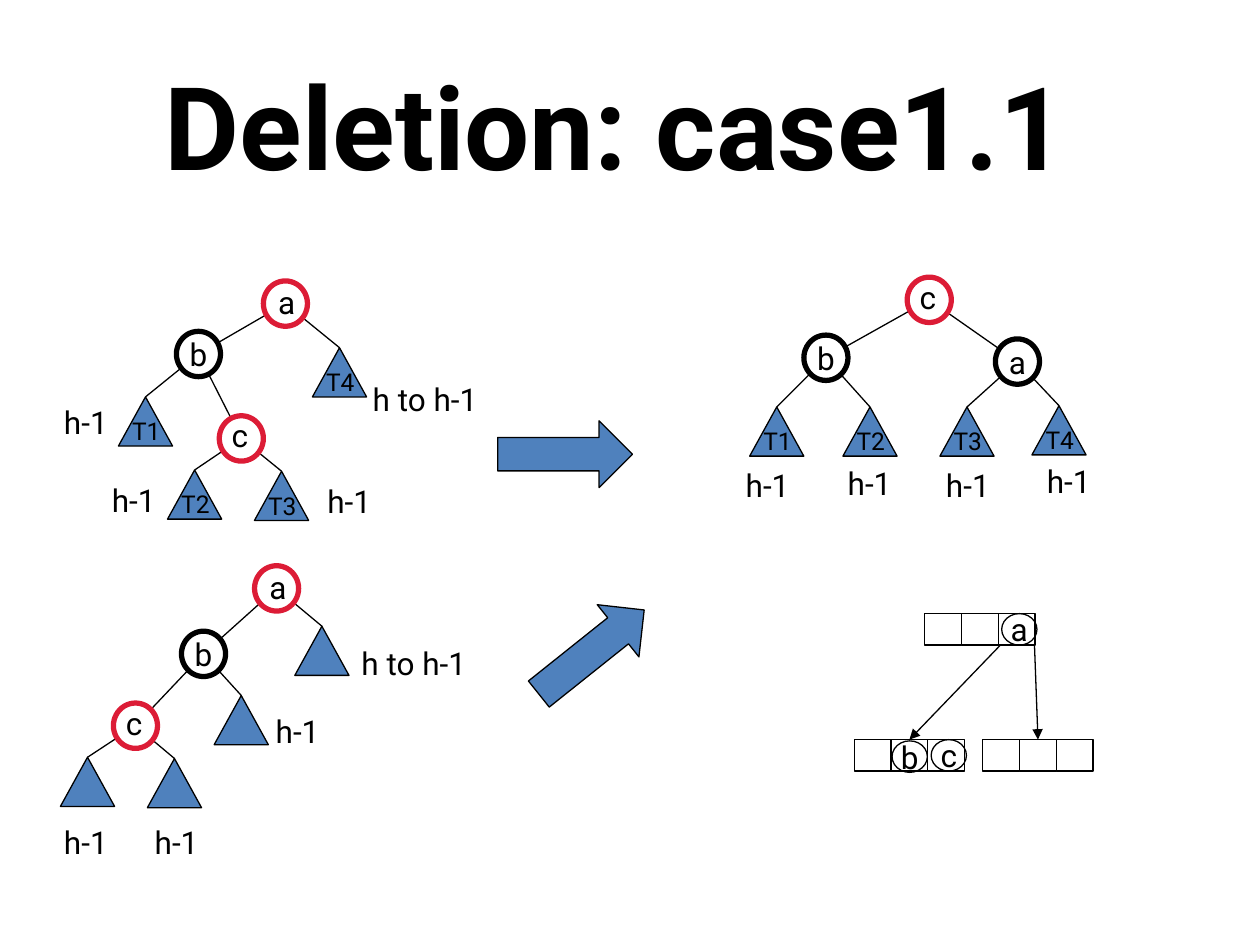
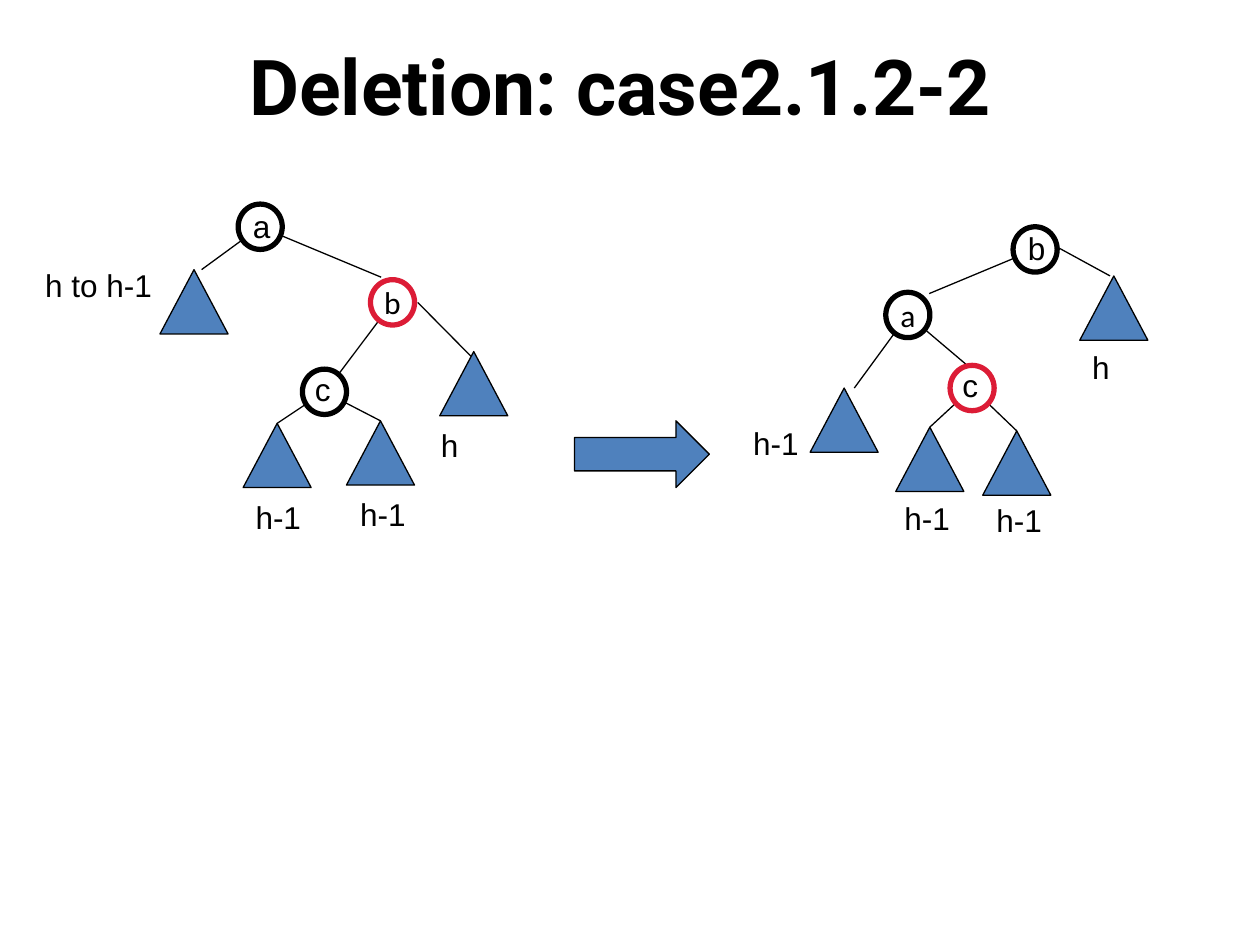
from dataclasses import dataclass

from lxml.etree import SubElement
from pptx import Presentation
from pptx.dml.color import RGBColor
from pptx.enum.shapes import MSO_CONNECTOR as Connector, MSO_SHAPE as Shape
from pptx.enum.text import MSO_ANCHOR as Anchor, MSO_AUTO_SIZE as AutoSize, PP_ALIGN as Align
from pptx.oxml.ns import qn
from pptx.util import Inches, Pt

# Shared style
BLACK = RGBColor(0x00, 0x00, 0x00)
WHITE = RGBColor(0xFF, 0xFF, 0xFF)
RED = RGBColor(0xDC, 0x1C, 0x36)
BLUE = RGBColor(0x4F, 0x81, 0xBD)
THIN, THICK = 0.75, 3

# The slide is a grid of 100 columns by 75 rows; all lengths are in grid units
COLUMNS, ROWS = 100, 75
UNIT = Inches(0.1)
NODE_WIDTH, NODE_HEIGHT = 3.5, 3.6
CELL_WIDTH, CELL_HEIGHT = 2.92, 2.5
LABEL_WIDTHS = {"h to h-1": 10.8, "h-1": 5.6, "h": 3.4, "a": 3.4, "b": 3.4, "c": 3.3}


@dataclass
class Node:
    """A tree node; start and end nudge the edge that comes from its parent."""
    name: str
    left: float
    top: float
    color: RGBColor
    parent: str = ""
    inside: bool = False
    start: tuple = (0, 0)
    end: tuple = (0, 0)


@dataclass
class Subtree:
    """A triangle with its height caption."""
    parent: str
    left: float
    top: float
    height: str
    caption_left: float
    caption_top: float
    name: str = ""
    start: tuple = (0, 0)
    end: tuple = (0, 0)


@dataclass
class TreeStyle:
    triangle: tuple
    label_font: str
    node_font: str


ROBOTO_TREE = TreeStyle((4.3, 3.9), "Roboto", "Roboto")
ARIAL_TREE = TreeStyle((5.4, 5.1), "Arial", "Calibri")


def grid(*lengths):
    return [round(length * UNIT) for length in lengths]


def add_run(paragraph, text, font, size, bold=False):
    run = paragraph.add_run()
    run.text = text
    run.font.name, run.font.size, run.font.bold = font, Pt(size), bold
    run.font.color.rgb = BLACK


def add_label(slide, text, left, top, font, size=18, width=None, height=4):
    box = slide.shapes.add_textbox(*grid(left, top, width or LABEL_WIDTHS[text], height))
    frame = box.text_frame
    frame.word_wrap = False
    frame.auto_size = AutoSize.SHAPE_TO_FIT_TEXT
    add_run(frame.paragraphs[0], text, font, size)


def add_figure(shapes, kind, left, top, width, height, fill=None, line=BLACK, weight=THIN):
    figure = shapes.add_shape(kind, *grid(left, top, width, height))
    figure.shadow.inherit = False
    if fill is None:
        figure.fill.background()
    else:
        figure.fill.solid()
        figure.fill.fore_color.rgb = fill
    figure.line.color.rgb = line
    figure.line.width = Pt(weight)
    return figure


def write_inside(figure, text, font):
    frame = figure.text_frame
    frame.word_wrap = False
    frame.vertical_anchor = Anchor.MIDDLE
    frame.paragraphs[0].alignment = Align.CENTER
    add_run(frame.paragraphs[0], text, font, 18)


def add_edge(slide, start, end, arrow=False):
    edge = slide.shapes.add_connector(Connector.STRAIGHT, *grid(*start, *end))
    edge.line.color.rgb = BLACK
    edge.line.width = Pt(THIN)
    if arrow:
        SubElement(edge.line._get_or_add_ln(), qn("a:tailEnd"), type="triangle")
    SubElement(edge._element.spPr, qn("a:effectLst"))
    return edge


def add_block_arrow(slide, left, top, rotation=0):
    arrow = add_figure(slide.shapes, Shape.RIGHT_ARROW, left, top, 10.7, 5.3, BLUE)
    arrow.rotation = rotation


def add_tree(slide, origin, style, nodes, subtrees):
    """Draw a tree relative to the top left corner of its box."""
    x, y = origin
    triangle_width, triangle_height = style.triangle
    centers = {node.name: (x + node.left + NODE_WIDTH / 2, y + node.top + NODE_HEIGHT / 2)
               for node in nodes}

    # Edges lie behind: parent centre to child centre or triangle tip
    for child in nodes + subtrees:
        if not child.parent:
            continue
        if isinstance(child, Node):
            target = centers[child.name]
        else:
            target = (x + child.left + triangle_width / 2, y + child.top)
        start = [a + b for a, b in zip(centers[child.parent], child.start)]
        end = [a + b for a, b in zip(target, child.end)]
        add_edge(slide, start, end)

    # Nodes
    for node in nodes:
        left, top = x + node.left, y + node.top
        circle = add_figure(slide.shapes, Shape.OVAL, left, top, NODE_WIDTH, NODE_HEIGHT,
                            WHITE, node.color, THICK)
        if node.inside:
            write_inside(circle, node.name, style.node_font)
        else:
            shift_x, shift_y = (0, -0.45) if node.name == "c" else (0.2, -0.3)
            add_label(slide, node.name, left + shift_x, top + shift_y, style.label_font)

    # Subtrees with names and heights
    for subtree in subtrees:
        left, top = x + subtree.left, y + subtree.top
        add_figure(slide.shapes, Shape.FLOWCHART_EXTRACT, left, top,
                   triangle_width, triangle_height, BLUE)
        add_label(slide, subtree.height, x + subtree.caption_left, y + subtree.caption_top,
                  style.label_font)
        if subtree.name:
            add_label(slide, subtree.name, left + 0.1, top + 1.05, style.label_font,
                      size=14, width=4.6, height=3.4)


def add_cell_row(slide, left, top):
    group = slide.shapes.add_group_shape()
    return [add_figure(group.shapes, Shape.RECTANGLE, left + column * CELL_WIDTH, top,
                       CELL_WIDTH, CELL_HEIGHT) for column in range(3)]


def add_key_blocks(slide, origin):
    """Draw the three-cell blocks: one parent and two children."""
    x, y = origin
    left_child = add_cell_row(slide, x, y + 10)
    right_child = add_cell_row(slide, x + 10.2, y + 10)
    add_cell_row(slide, x + 5.6, y)
    for key, left, top in (("a", 11.7, 0), ("b", 3, 10.1), ("c", 6.1, 10)):
        circle = add_figure(slide.shapes, Shape.OVAL, x + left, y + top, 2.8, CELL_HEIGHT)
        write_inside(circle, key, "Roboto")
    for start, target in (((11.6, 2.5), left_child[1]), ((14.3, 2.4), right_child[1])):
        point = (x + start[0], y + start[1])
        add_edge(slide, point, point, arrow=True).end_connect(target, 0)


def add_titled_slide(presentation, text, top, size):
    slide = presentation.slides.add_slide(presentation.slide_layouts[5])
    title = slide.shapes.title
    title.left, title.top, title.width, title.height = grid(5, top, 90, 12.5)
    frame = title.text_frame
    frame.auto_size = AutoSize.NONE
    frame.vertical_anchor = Anchor.MIDDLE
    frame.paragraphs[0].alignment = Align.CENTER
    add_run(frame.paragraphs[0], text, "Roboto", size, bold=True)
    return slide


def build_case_1_1(presentation):
    slide = add_titled_slide(presentation, "Deletion: case1.1 ", 3.6, 66)

    # Upper left: c is the right child of b
    add_tree(slide, (4, 22), ROBOTO_TREE, [
        Node("a", 16.9, 0.3, RED),
        Node("b", 10, 4.3, BLACK, "a", inside=True),
        Node("c", 13.4, 11, RED, "b"),
    ], [
        Subtree("b", 5.4, 9.5, "h-1", 0.1, 9.5, "T1"),
        Subtree("c", 9.3, 15.3, "h-1", 3.9, 15.7, "T2"),
        Subtree("c", 16.2, 15.4, "h-1", 21, 15.8, "T3"),
        Subtree("a", 20.8, 5.6, "h to h-1", 24.6, 7.7, "T4"),
    ])

    # Lower left: c is the left child of b
    add_tree(slide, (4, 44), ROBOTO_TREE, [
        Node("a", 16.2, 0.9, RED),
        Node("b", 10.4, 6.1, BLACK, "a", inside=True),
        Node("c", 5, 11.8, RED, "b"),
    ], [
        Subtree("c", 0.8, 16.1, "h-1", 0.1, 20.8),
        Subtree("c", 7.7, 16.2, "h-1", 7.3, 20.8),
        Subtree("b", 13, 11.2, "h-1", 16.9, 12),
        Subtree("a", 19.4, 5.7, "h to h-1", 23.7, 6.6),
    ])

    # Right: result of the rotation
    add_tree(slide, (58, 22), ROBOTO_TREE, [
        Node("c", 14, 0, RED),
        Node("b", 5.8, 4.6, BLACK, "c", inside=True),
        Node("a", 21, 4.9, BLACK, "c", inside=True),
    ], [
        Subtree("b", 1.5, 10.3, "h-1", 0.2, 14.5, "T1"),
        Subtree("b", 8.9, 10.3, "h-1", 8.3, 14.3, "T2"),
        Subtree("a", 16.6, 10.3, "h-1", 16.1, 14.5, "T3"),
        Subtree("a", 23.9, 10.2, "h-1", 24.1, 14.2, "T4"),
    ])

    add_key_blocks(slide, (67.8, 48.7))
    add_block_arrow(slide, 39.5, 33.4)
    add_block_arrow(slide, 41.6, 49.1, rotation=321.4)


def build_case_2_1_2(presentation):
    slide = add_titled_slide(presentation, "Deletion: case2.1.2-2 ", 0.5, 44)
    add_block_arrow(slide, 45.6, 33.4)

    # Left: before the rotation
    add_tree(slide, (2, 16), ARIAL_TREE, [
        Node("a", 16.9, 0.2, BLACK),
        Node("b", 27.4, 6.2, RED, "a", inside=True, end=(-0.9, -2)),
        Node("c", 22, 13.3, BLACK, "b", end=(0.6, -0.7)),
    ], [
        Subtree("a", 10.7, 5.4, "h to h-1", 0.6, 4.6, end=(0.6, 0)),
        Subtree("c", 17.3, 17.6, "h-1", 17.3, 23),
        Subtree("c", 25.5, 17.4, "h-1", 25.6, 22.8),
        Subtree("b", 32.9, 11.9, "h", 32, 17.3, start=(2, 0), end=(-0.1, 0.5)),
    ])

    # Right: after the rotation
    add_tree(slide, (58, 18), ARIAL_TREE, [
        Node("b", 22.4, 0, BLACK),
        Node("a", 12.3, 5.2, BLACK, "b", inside=True, end=(1.7, -1.7)),
        Node("c", 17.4, 11, RED, "a", end=(-0.5, -1.9)),
    ], [
        Subtree("a", 6.3, 12.8, "h-1", 0.8, 15.2, end=(0.8, 0)),
        Subtree("c", 13.1, 15.9, "h-1", 12.8, 21.1),
        Subtree("c", 20, 16.2, "h-1", 20.1, 21.3),
        Subtree("b", 27.7, 3.9, "h", 27.7, 9.1, start=(1, -0.6), end=(-0.3, 0)),
    ])


def main():
    presentation = Presentation()
    presentation.slide_width, presentation.slide_height = grid(COLUMNS, ROWS)
    build_case_1_1(presentation)
    build_case_2_1_2(presentation)
    presentation.save("out.pptx")


if __name__ == "__main__":
    main()
